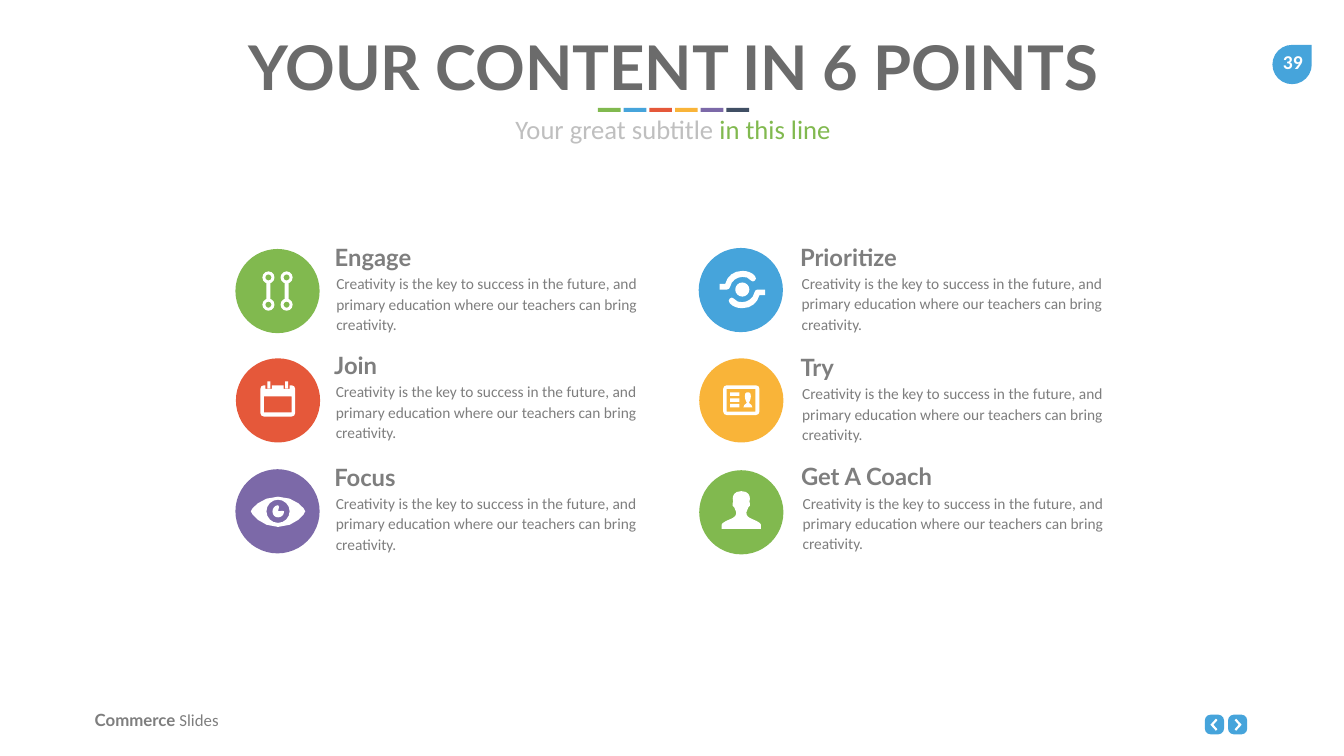
"""Build the six-point content slide with icons, headings and descriptions."""
from math import cos, pi, sin

from pptx import Presentation
from pptx.dml.color import RGBColor
from pptx.enum.shapes import MSO_SHAPE as Preset
from pptx.enum.text import MSO_AUTO_SIZE as AutoSize, PP_ALIGN as Align
from pptx.util import Inches, Pt

COLORS = {
    "green": "81B94F", "blue": "46A4DB", "red": "E5583A", "yellow": "F9B439",
    "purple": "7C69A8", "navy": "404F64", "white": "FFFFFF",
    "title": "6B6B6B", "text": "7E7E7E", "subtitle": "BFBFBF",
}
DESCRIPTION = ("Creativity is the key to success in the future, and primary "
               "education where our teachers can bring creativity.")
POINTS = [
    {"title": "Engage", "color": "green", "circle": (4.67, 4.94), "heading": (6.4, 4.7), "width": 2.03},
    {"title": "Join", "color": "red", "circle": (4.68, 7.11), "heading": (6.39, 6.84), "width": 1.36},
    {"title": "Focus", "color": "purple", "circle": (4.67, 9.31), "heading": (6.39, 9.06), "width": 1.72},
    {"title": "Prioritize", "color": "blue", "circle": (13.86, 4.92), "heading": (15.63, 4.69), "width": 2.49},
    {"title": "Try", "color": "yellow", "circle": (13.87, 7.11), "heading": (15.64, 6.88), "width": 1.18},
    {"title": "Get A Coach", "color": "green", "circle": (13.87, 9.33), "heading": (15.65, 9.05), "width": 3.13},
]
BAR_COLORS = ["green", "blue", "red", "yellow", "purple", "navy"]
DIAMETER = 1.67

CALENDAR_BODY = [
    (-0.28, -0.3), (-0.25, -0.3), (-0.25, -0.23), (-0.12, -0.23), (-0.12, -0.3), (0.11, -0.3),
    (0.11, -0.23), (0.23, -0.23), (0.23, -0.3), (0.27, -0.3), (0.32, -0.28), (0.34, -0.23),
    (0.34, 0.25), (0.32, 0.3), (0.27, 0.32), (-0.28, 0.32), (-0.33, 0.3), (-0.35, 0.25),
    (-0.35, -0.23), (-0.33, -0.28),
]
CARD_BODY = [
    (-0.29, -0.3), (0.29, -0.3), (0.34, -0.28), (0.36, -0.23), (0.36, 0.22), (0.34, 0.27),
    (0.29, 0.29), (-0.29, 0.29), (-0.34, 0.27), (-0.36, 0.22), (-0.36, -0.23), (-0.34, -0.28),
]
CARD_PERSON_HALF = [
    (0.09, 0.14), (0.07, 0.09), (0.02, 0.05), (0.05, -0.02),
    (0.06, -0.08), (0.05, -0.14), (0.02, -0.16),
]
COACH_HALF = [
    (0.39, 0.33), (0.39, 0.25), (0.39, 0.22, 0.33, 0.18, 0.23, 0.14),
    (0.13, 0.1, 0.1, 0.07, 0.1, 0), (0.14, -0.1), (0.17, -0.13), (0.17, -0.19), (0.16, -0.2),
    (0.17, -0.27), (0.17, -0.32, 0.15, -0.42, 0, -0.42),
]
EYE_LENS = [
    (-0.54, 0), (-0.54, -0.04, -0.34, -0.29, 0, -0.29), (0.35, -0.29, 0.54, -0.04, 0.54, 0),
    (0.54, 0.04, 0.35, 0.31, 0, 0.31), (-0.34, 0.31, -0.54, 0.04, -0.54, 0),
]
EYE_PUPIL = [
    (0, 0), (0.02, -0.09), (0, -0.12), (-0.06, -0.12, -0.11, -0.06, -0.11, 0),
    (-0.11, 0.08, -0.06, 0.12, 0, 0.12), (0.06, 0.12, 0.12, 0.08, 0.12, 0), (0.09, -0.01),
]
ORBIT_ARM = [
    (-0.24, -0.06), (-0.22, -0.17, -0.11, -0.25, 0, -0.25), (0.09, -0.24), (0.17, -0.18),
    (0.21, -0.16), (0.25, -0.18), (0.27, -0.22), (0.25, -0.27),
    (0.19, -0.34, 0.1, -0.37, 0, -0.37), (-0.17, -0.37, -0.3, -0.27, -0.34, -0.11),
    (-0.45, -0.11), (-0.45, 0), (-0.3, 0), (-0.26, -0.02),
]
CHEVRON = [(0.03, -0.12), (0.06, -0.09), (-0.02, 0), (0.06, 0.09), (0.03, 0.12), (-0.08, 0)]


def flatten(segments, steps=4):
    points = [segments[0]]
    for segment in segments[1:]:
        if len(segment) == 2:
            points.append(segment)
            continue
        nodes = [points[-1], segment[:2], segment[2:4], segment[4:]]
        for step in range(1, steps + 1):
            t = step / steps
            weights = ((1 - t) ** 3, 3 * t * (1 - t) ** 2, 3 * t * t * (1 - t), t ** 3)
            points.append(tuple(sum(w * node[axis] for w, node in zip(weights, nodes)) for axis in (0, 1)))
    return points


def circle(radius, count=16):
    angles = [2 * pi * index / count for index in range(count)]
    return [(radius * cos(angle), radius * sin(angle)) for angle in angles]


def box(left, top, width, height):
    right, bottom = left + width, top + height
    return [(left, top), (right, top), (right, bottom), (left, bottom)]


def moved(points, dx=0, dy=0, flip_x=1, flip_y=1):
    return [(flip_x * x + dx, flip_y * y + dy) for x, y in points]


def mirrored(half):
    points = flatten(half)
    return points + moved(points[::-1], flip_x=-1)


def make_icons():
    calendar = [flatten(CALENDAR_BODY), box(-0.28, -0.08, 0.55, 0.32),
                box(-0.21, -0.38, 0.06, 0.14), box(0.14, -0.38, 0.06, 0.14)]
    eye = [moved(outline, dx=0.01) for outline in (flatten(EYE_LENS), circle(0.23), flatten(EYE_PUPIL))]
    arm = flatten(ORBIT_ARM)
    orbit = [moved(outline, 0.03, -0.01) for outline in (circle(0.14), arm, moved(arm, flip_x=-1, flip_y=-1))]
    card = [flatten(CARD_BODY), box(-0.29, -0.23, 0.57, 0.45), moved(mirrored(CARD_PERSON_HALF), dx=0.13)]
    card += [box(-0.22, top, 0.18, 0.07) for top in (-0.16, -0.04, 0.07)]
    return {"Join": calendar, "Focus": eye, "Prioritize": orbit,
            "Try": card, "Get A Coach": [mirrored(COACH_HALF)]}


def paint(shape, color):
    shape.shadow.inherit = False
    shape.fill.solid()
    shape.fill.fore_color.rgb = RGBColor.from_string(COLORS[color])
    shape.line.fill.background()


def add_preset(slide, preset, place, color):
    shape = slide.shapes.add_shape(preset, *map(Inches, place))
    paint(shape, color)
    return shape


def add_branches(slide, center):
    for x in (center[0] - 0.18, center[0] + 0.18):
        add_preset(slide, Preset.RECTANGLE, (x - 0.04, center[1] - 0.17, 0.08, 0.34), "white")
        for y in (center[1] - 0.27, center[1] + 0.27):
            add_preset(slide, Preset.DONUT, (x - 0.12, y - 0.12, 0.24, 0.24), "white")


def add_outline(slide, outlines, center, color="white"):
    placed = [[(Inches(x), Inches(y)) for x, y in moved(outline, *center)] for outline in outlines]
    builder = slide.shapes.build_freeform(*placed[0][0])
    for index, points in enumerate(placed):
        if index:
            builder.move_to(*points[0])
        builder.add_line_segments(points[1:], close=True)
    paint(builder.convert_to_shape(), color)


def add_text(slide, text, place, size, font="Calibri", color="text", bold=False,
             align=Align.LEFT, wrap=True, margins=(0.1, 0.05), spacing=None, tail=None):
    frame = slide.shapes.add_textbox(*map(Inches, place)).text_frame
    frame.word_wrap = wrap
    frame.auto_size = AutoSize.SHAPE_TO_FIT_TEXT
    frame.margin_left = frame.margin_right = Inches(margins[0])
    frame.margin_top = frame.margin_bottom = Inches(margins[1])
    paragraph = frame.paragraphs[0]
    paragraph.alignment = align
    paragraph.line_spacing = spacing
    first = {"text": text, "font": font, "color": color, "bold": bold}
    for part in [first] + ([{**first, **tail}] if tail else []):
        run = paragraph.add_run()
        run.text = part["text"]
        run.font.size, run.font.name, run.font.bold = Pt(size), part["font"], part["bold"]
        run.font.color.rgb = RGBColor.from_string(COLORS[part["color"]])


def main():
    presentation = Presentation()
    presentation.slide_width, presentation.slide_height = Inches(26.66), Inches(15)
    slide = presentation.slides.add_slide(presentation.slide_layouts[6])

    for left, direction in ((23.9, 1), (24.36, -1)):
        button = add_preset(slide, Preset.ROUNDED_RECTANGLE, (left, 14.18, 0.38, 0.39), "blue")
        button.adjustments[0] = 0.3
        add_outline(slide, [moved(CHEVRON, flip_x=direction)], (left + 0.19, 14.38))
    add_preset(slide, Preset.TEAR, (25.24, 0.89, 0.78, 0.78), "blue")
    add_text(slide, "39", (25.21, 0.9, 0.87, 0.67), 28, color="white", bold=True,
             align=Align.CENTER, wrap=False, margins=(0.2, 0.1))
    add_text(slide, "Commerce ", (1.78, 14.04, 4, 0.5), 24, font="Lato", bold=True,
             tail={"text": "Slides", "font": "Calibri", "bold": False})

    icons = make_icons()
    for point in POINTS:
        left, top = point["circle"]
        center = (left + DIAMETER / 2, top + DIAMETER / 2)
        add_preset(slide, Preset.OVAL, (left, top, DIAMETER, DIAMETER), point["color"])
        if point["title"] in icons:
            add_outline(slide, icons[point["title"]], center)
        else:
            add_branches(slide, center)
        left, top = point["heading"]
        add_text(slide, point["title"], (left, top, point["width"], 0.81), 34, font="Lato",
                 bold=True, wrap=False, margins=(0.24, 0.12))
        add_text(slide, DESCRIPTION, (left + 0.03, top + 0.59, 7.05, 1.46), 22,
                 margins=(0.24, 0.12), spacing=1.1)

    add_text(slide, "YOUR CONTENT IN 6 POINTS", (1.9, 0.53, 22.9, 1.58), 88, font="Lato",
             color="title", bold=True, align=Align.CENTER)
    for index, color in enumerate(BAR_COLORS):
        add_preset(slide, Preset.RECTANGLE, (11.86 + 0.51 * index, 2.14, 0.45, 0.08), color)
    add_text(slide, "Your great subtitle ", (1.9, 2.2, 22.9, 0.74), 38, color="subtitle",
             align=Align.CENTER, tail={"text": "in this line", "color": "green"})
    presentation.save("out.pptx")


if __name__ == "__main__":
    main()
